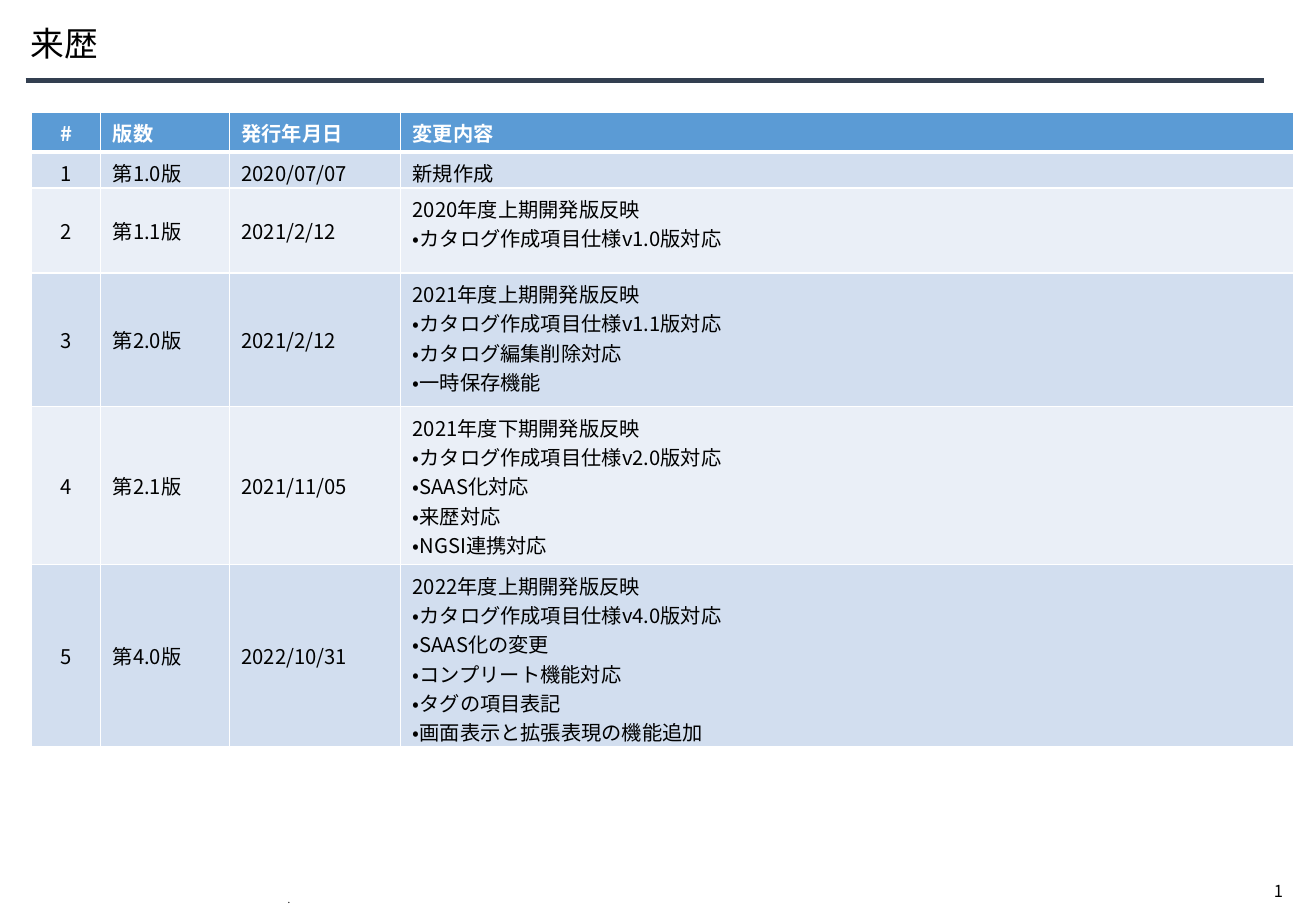
import pptx
import pptx.util
import pptx.dml.color
import pptx.enum.lang
import pptx.enum.shapes
import pptx.enum.text
import pptx.oxml
import pptx.oxml.ns
from dataclasses import dataclass

Pt = pptx.util.Pt
Align = pptx.enum.text.PP_ALIGN
Anchor = pptx.enum.text.MSO_ANCHOR

# Content
TITLE = "来歴"
PAGE = "1"
MARK = "."
HEADS = ("#", "版数", "発行年月日", "変更内容")
ROWS = (
    ("1", "第1.0版", "2020/07/07", ("新規作成",)),
    ("2", "第1.1版", "2021/2/12",
     ("2020年度上期開発版反映", "・カタログ作成項目仕様v1.0版対応")),
    ("3", "第2.0版", "2021/2/12",
     ("2021年度上期開発版反映", "・カタログ作成項目仕様v1.1版対応",
      "・カタログ編集削除対応", "・一時保存機能")),
    ("4", "第2.1版", "2021/11/05",
     ("2021年度下期開発版反映", "・カタログ作成項目仕様v2.0版対応",
      "・SAAS化対応", "・来歴対応", "・NGSI連携対応")),
    ("5", "第4.0版", "2022/10/31",
     ("2022年度上期開発版反映", "・カタログ作成項目仕様v4.0版対応",
      "・SAAS化の変更", "・コンプリート機能対応", "・タグの項目表記",
      "・画面表示と拡張表現の機能追加")),
)
WIDTHS = (41, 76.3, 101.5, 529.2)
HEIGHTS = (23.2, 21.4, 50.4, 79.3, 93.6, 107.4)


@dataclass(frozen=True)
class Theme:
    font: str = "Noto Sans CJK JP"
    ink: str = "000000"
    white: str = "FFFFFF"
    rule: str = "333F50"
    head: str = "5B9BD5"
    bands: tuple = ("D2DEEF", "EAEFF7")
    title: float = 20
    body: float = 12
    page: float = 9.8
    mark: float = 5.7


THEME = Theme()


def color(code):
    return pptx.dml.color.RGBColor.from_string(code)


def write(frame, lines, size, ink=THEME.ink, bold=False, align=Align.LEFT):
    """Fill a text frame with one paragraph per line."""
    frame.text = "\n".join(lines)
    for para in frame.paragraphs:
        para.alignment = align
        font = para.font
        font.name, font.size, font.bold = THEME.font, Pt(size), bold
        font.color.rgb = color(ink)
        font.language_id = pptx.enum.lang.MSO_LANGUAGE_ID.JAPANESE


def border(cell, last):
    """Draw white cell edges; the header has a thick lower edge."""
    props = cell._tc.get_or_add_tcPr()
    space = pptx.oxml.ns.nsdecls("a")
    for spot, (side, width) in enumerate(
            (("L", 1), ("R", 1), ("T", 1), ("B", last))):
        props.insert(spot, pptx.oxml.parse_xml(
            f'<a:ln{side} {space} w="{Pt(width)}"><a:solidFill>'
            f'<a:srgbClr val="{THEME.white}"/></a:solidFill></a:ln{side}>'))


def add_box(slide, spot, text, size):
    box = slide.shapes.add_textbox(*map(Pt, spot))
    write(box.text_frame, [text], size)
    return box.text_frame


def add_title(slide):
    title = slide.shapes.title
    title.left, title.top, title.width, title.height = map(
        Pt, (18, 10, 714, 34))
    frame = title.text_frame
    frame.auto_size = pptx.enum.text.MSO_AUTO_SIZE.NONE
    frame.vertical_anchor = Anchor.MIDDLE
    frame.margin_left = 0
    write(frame, [TITLE], THEME.title)
    frame.paragraphs[0].line_spacing = 0.9


def add_rule(slide):
    line = slide.shapes.add_connector(
        pptx.enum.shapes.MSO_CONNECTOR.STRAIGHT,
        *map(Pt, (15.2, 47.7, 749.3, 47.7)))
    line.line.color.rgb = color(THEME.rule)
    line.line.width = Pt(3)
    line._element.spPr.append(pptx.oxml.parse_xml(
        f'<a:effectLst {pptx.oxml.ns.nsdecls("a")}/>'))


def add_log(slide):
    table = slide.shapes.add_table(
        len(HEIGHTS), len(WIDTHS), Pt(18.7), Pt(66.8),
        Pt(sum(WIDTHS)), Pt(sum(HEIGHTS))).table
    for col, width in zip(table.columns, WIDTHS):
        col.width = Pt(width)
    for row, height in zip(table.rows, HEIGHTS):
        row.height = Pt(height)
    for r, values in enumerate((HEADS,) + ROWS):
        head = r == 0
        fill = THEME.head if head else THEME.bands[(r - 1) % 2]
        for c, value in enumerate(values):
            cell = table.cell(r, c)
            cell.fill.solid()
            cell.fill.fore_color.rgb = color(fill)
            # Change lists and the one-line row hang from the top edge
            high = r == 1 or (c == 3 and not head)
            cell.vertical_anchor = Anchor.TOP if high else Anchor.MIDDLE
            cell.margin_top = Pt(3.6 if high else 1.8)
            cell.margin_bottom = Pt(0 if high else 1.8)
            lines = [value] if isinstance(value, str) else value
            write(cell.text_frame, lines, THEME.body,
                  THEME.white if head else THEME.ink, head,
                  Align.LEFT if c else Align.CENTER)
            border(cell, 3 if head else 1)


def main():
    deck = pptx.Presentation()
    deck.slide_width, deck.slide_height = Pt(780), Pt(540)
    slide = deck.slides.add_slide(deck.slide_layouts[5])

    # Heading
    add_title(slide)
    add_rule(slide)

    # Version history
    add_log(slide)

    # Footer
    add_box(slide, (748, 518.4, 31, 19.4), PAGE, THEME.page)
    foot = add_box(slide, (163.4, 530, 453.6, 10), MARK, THEME.mark)
    foot.word_wrap = True
    foot.vertical_anchor = Anchor.BOTTOM
    foot.paragraphs[0].line_spacing = Pt(1.6)

    deck.save("out.pptx")


if __name__ == "__main__":
    main()
